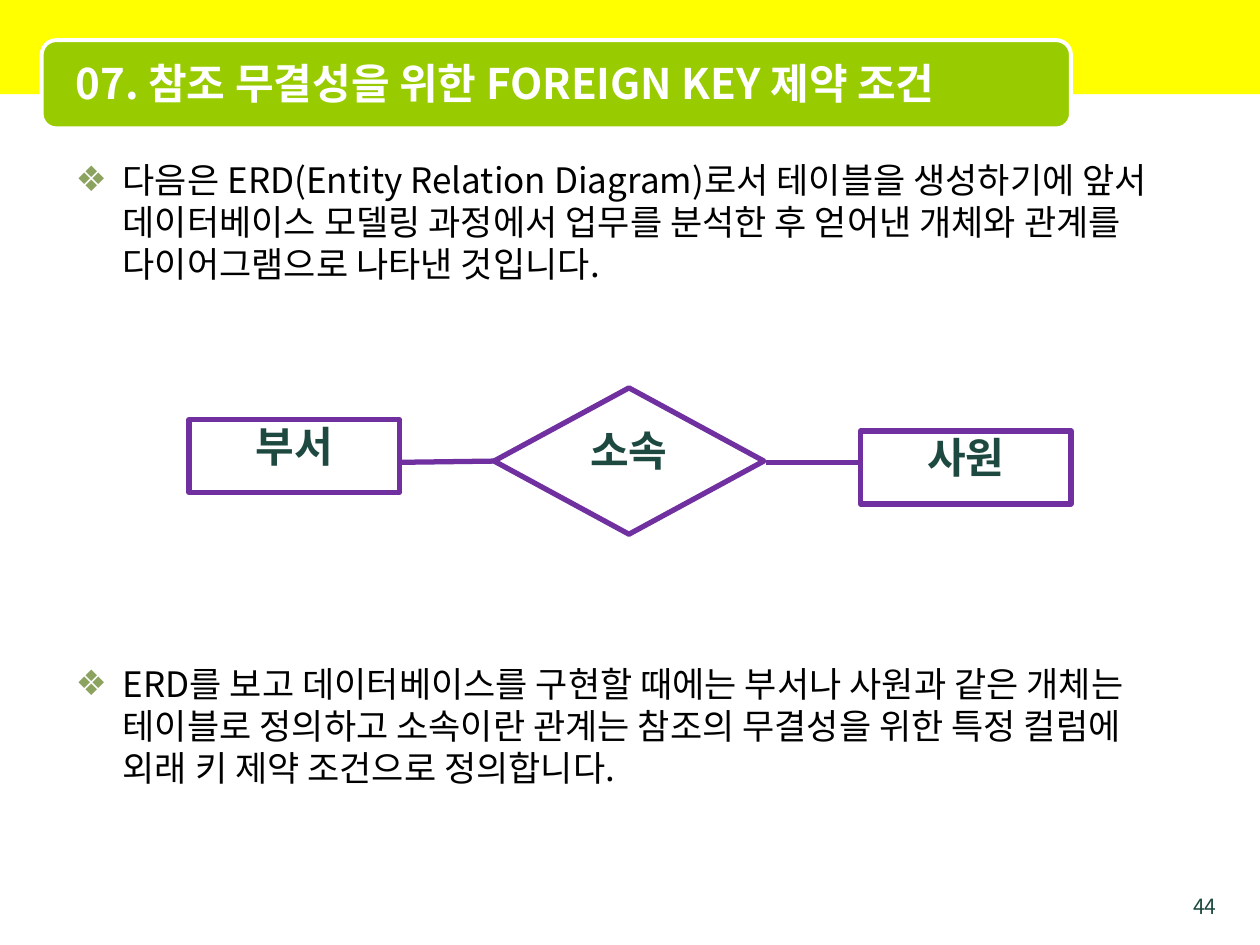
import pptx
import pptx.dml.color
import pptx.enum.shapes
import pptx.enum.text
import pptx.oxml
import pptx.oxml.ns
import pptx.util
from pptx.util import Cm, Pt

RGBColor = pptx.dml.color.RGBColor
SHAPE = pptx.enum.shapes.MSO_SHAPE
ALIGN = pptx.enum.text.PP_ALIGN
ANCHOR = pptx.enum.text.MSO_ANCHOR

YELLOW = RGBColor(0xFF, 0xFF, 0x00)
LIME = RGBColor(0x99, 0xCC, 0x00)
WHITE = RGBColor(0xFF, 0xFF, 0xFF)
BLACK = RGBColor(0x00, 0x00, 0x00)
DARK_GREEN = RGBColor(0x1D, 0x49, 0x40)
BULLET_GREEN = RGBColor(0x8C, 0xA3, 0x5F)
PURPLE = RGBColor(0x70, 0x30, 0xA0)
FONT = "Noto Sans CJK KR"

TITLE = "07. 참조 무결성을 위한 FOREIGN KEY 제약 조건"
INTRODUCTION = (
    "다음은 ERD(Entity Relation Diagram)로서 테이블을 생성하기에 앞서 "
    "데이터베이스 모델링 과정에서 업무를 분석한 후 얻어낸 개체와 관계를 "
    "다이어그램으로 나타낸 것입니다."
)
CONCLUSION = (
    "ERD를 보고 데이터베이스를 구현할 때에는 부서나 사원과 같은 개체는 "
    "테이블로 정의하고 소속이란 관계는 참조의 무결성을 위한 특정 컬럼에 "
    "외래 키 제약 조건으로 정의합니다."
)


def add_xml(parent, tag, **attributes):
    element = pptx.oxml.parse_xml(f"<a:{tag} {pptx.oxml.ns.nsdecls('a')}/>")
    for name, value in attributes.items():
        element.set(name, str(value))
    parent.append(element)
    return element


def format_text(para, size, color, bold=False):
    """Style every run, naming the font for Latin and Korean text."""
    for span in para.runs:
        span.font.size = Pt(size)
        span.font.bold = bold
        span.font.color.rgb = color
        span.font.name = FONT
        add_xml(span.font._element, "ea", typeface=FONT)


def add_bullet(para):
    properties = para._p.get_or_add_pPr()
    properties.set("marL", str(Cm(0.95)))
    properties.set("indent", str(-Cm(0.95)))
    color = add_xml(properties, "buClr")
    add_xml(color, "srgbClr", val=BULLET_GREEN)
    add_xml(properties, "buChar", char="❖")


def place(shape, left, top, width, height):
    shape.left, shape.top = Cm(left), Cm(top)
    shape.width, shape.height = Cm(width), Cm(height)


def add_panel(page, kind, bounds, fill=None, line=None, weight=3):
    panel = page.shapes.add_shape(kind, *map(Cm, bounds))
    panel.shadow.inherit = False
    if fill is None:
        panel.fill.background()
    else:
        panel.fill.solid()
        panel.fill.fore_color.rgb = fill
    if line is None:
        panel.line.fill.background()
    else:
        panel.line.color.rgb = line
        panel.line.width = Pt(weight)
    return panel


def add_node(page, kind, label, bounds):
    node = add_panel(page, kind, bounds, line=PURPLE)
    frame = node.text_frame
    frame.word_wrap = False
    frame.vertical_anchor = ANCHOR.TOP
    para = frame.paragraphs[0]
    para.text = label
    para.alignment = ALIGN.CENTER
    para.line_spacing = 0.9
    format_text(para, 24, DARK_GREEN, bold=True)
    return node


def add_link(page, start, end, y):
    link = page.shapes.add_connector(
        pptx.enum.shapes.MSO_CONNECTOR.STRAIGHT, Cm(start), Cm(y), Cm(end), Cm(y)
    )
    link.line.color.rgb = PURPLE
    link.line.width = Pt(3)
    add_xml(link._element.spPr, "effectLst")
    return link


def fill_title(page):
    title = page.shapes.title
    page.shapes.element.append(title.element)  # in front of the banner
    place(title, 1.27, 0.89, 20.12, 1.57)
    frame = title.text_frame
    frame.text = TITLE
    frame.auto_size = pptx.enum.text.MSO_AUTO_SIZE.NONE
    frame.vertical_anchor = ANCHOR.MIDDLE
    para = frame.paragraphs[0]
    para.alignment = ALIGN.LEFT
    format_text(para, 24, WHITE, bold=True)


def fill_body(page):
    body = page.placeholders[1]
    place(body, 1.27, 3, 22.86, 15.6)
    frame = body.text_frame
    frame.text = f"{INTRODUCTION}\n{CONCLUSION}"
    frame.auto_size = pptx.enum.text.MSO_AUTO_SIZE.NONE
    frame.margin_top = Cm(0.2)
    for para, gap in zip(frame.paragraphs, (0, 216)):
        add_bullet(para)
        para.line_spacing = Pt(24)
        para.space_before = Pt(gap)
        format_text(para, 20, BLACK)


def add_page_number(page, number):
    box = page.shapes.add_textbox(Cm(23.5), Cm(17.88), Cm(1.27), Cm(0.53))
    box.text_frame.word_wrap = True
    para = box.text_frame.paragraphs[0]
    para.text = number
    para.alignment = ALIGN.RIGHT
    format_text(para, 12, DARK_GREEN)


def add_diagram(page):
    add_node(page, SHAPE.RECTANGLE, "부서", (3.81, 8.46, 4.24, 1.47))
    add_node(page, SHAPE.RECTANGLE, "사원", (17.35, 8.69, 4.24, 1.47))
    relation = add_node(
        page, SHAPE.FLOWCHART_DECISION, "소속", (9.96, 7.82, 5.44, 2.95)
    )
    department_link = add_link(page, 8.05, 9.96, 9.32)
    department_link.end_connect(relation, 1)
    add_link(page, 15.44, 17.35, 9.32)


def main():
    deck = pptx.Presentation()
    deck.slide_width, deck.slide_height = Cm(25.4), Cm(19.05)
    page = deck.slides.add_slide(deck.slide_layouts[1])
    add_panel(page, SHAPE.RECTANGLE, (0, 0, 25.4, 1.9), fill=YELLOW)
    add_panel(page, SHAPE.ROUNDED_RECTANGLE, (0.84, 0.81, 20.75, 1.78),
              fill=LIME, line=WHITE, weight=2.25)
    fill_title(page)
    fill_body(page)
    add_diagram(page)
    add_page_number(page, "44")
    deck.save("out.pptx")


if __name__ == "__main__":
    main()
